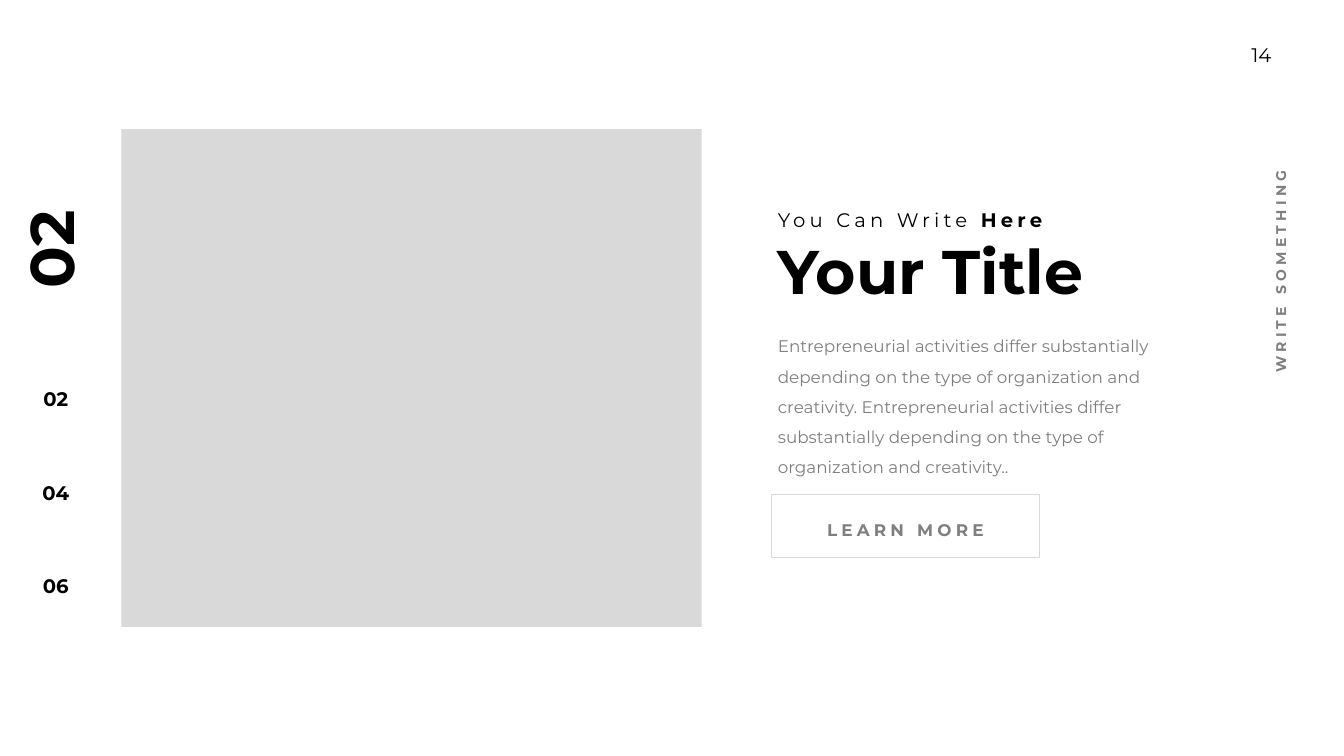
"""Build a slide with a grey photo panel, a title block and side labels."""
from pptx import Presentation
from pptx.dml.color import RGBColor
from pptx.enum.shapes import MSO_SHAPE
from pptx.enum.text import MSO_ANCHOR, MSO_AUTO_SIZE, PP_ALIGN
from pptx.util import Inches, Pt

RECT = MSO_SHAPE.RECTANGLE
TOP = MSO_ANCHOR.TOP
GROW = MSO_AUTO_SIZE.SHAPE_TO_FIT_TEXT
LEFT, CENTER = PP_ALIGN.LEFT, PP_ALIGN.CENTER

FONT = "Montserrat"
COLORS = {"ink": "000000", "grey": "7F7F7F", "panel": "D9D9D9", "paper": "FFFFFF"}
EDGE = 15.33
BODY = (
    "Entrepreneurial activities differ substantially depending on the type of "
    "organization and creativity. Entrepreneurial activities differ substantially "
    "depending on the type of organization and creativity.."
)
PANEL = (2.41, 2.56, 11.51, 9.88)
BUTTON = (15.3, 9.81, 5.31, 1.24)
TITLE = ("Your Title", (EDGE, 4.58, 7.17, 1.58), {"size": 88, "bold": True})
TEXTS = {
    "page": ("14", (24.46, 0.76, 1.12, 0.67), {"size": 28, "align": CENTER, "pad": (0.2, 0.1)}),
    "side": ("WRITE SOMETHING", (22.02, 3.89, 6.77, 0.44),
             {"size": 20, "color": "grey", "bold": True, "track": 6, "turn": 270}),
    "lead": ([("You Can Write ", False), ("Here", True)], (EDGE, 4.08, 6.77, 0.57),
             {"size": 28, "track": 6}),
    "body": (BODY, (EDGE, 6.42, 7.72, 3.13), {"size": 24, "color": "grey", "lead": 1.5}),
    "label": ("LEARN MORE", (15.68, 10.06, 4.56, 0.71),
              {"size": 24, "color": "grey", "bold": True, "track": 6,
               "align": CENTER, "lead": 1.5}),
    "chapter": ("02", (-0.98, 4.16, 3.97, 1.58),
                {"size": 88, "bold": True, "align": CENTER, "turn": 270}),
}
STEPS = ["02", "04", "06"]
STEP_BOX = (0.18, 7.63, 1.85, 4.34)
STEP_GAP = 100


def rgb(name):
    return RGBColor.from_string(COLORS[name])


def place(shape, box):
    shape.left, shape.top, shape.width, shape.height = map(Inches, box)


def write(para, text, size, color="ink", bold=False, track=0, align=LEFT, lead=None):
    para.alignment, para.line_spacing = align, lead
    font = para.font
    font.name, font.size, font.bold = FONT, Pt(size), bold
    font.color.rgb = rgb(color)
    parts = [(text, None)] if isinstance(text, str) else text
    for part, heavy in parts:
        run = para.add_run()
        run.text = part
        if heavy is not None:
            run.font.bold = heavy
        if track:
            run._r.get_or_add_rPr().set("spc", str(track * 100))


def fit(shape, pad=(0.1, 0.05)):
    frame = shape.text_frame
    frame.word_wrap, frame.auto_size, frame.vertical_anchor = True, GROW, TOP
    frame.margin_left = frame.margin_right = Inches(pad[0])
    frame.margin_top = frame.margin_bottom = Inches(pad[1])
    return frame


def add_text(slide, text, box, turn=0, pad=(0.1, 0.05), **style):
    shape = slide.shapes.add_textbox(*map(Inches, box))
    shape.rotation = turn
    write(fit(shape, pad).paragraphs[0], text, **style)
    return shape


def add_rect(slide, box, fill, line=None):
    shape = slide.shapes.add_shape(RECT, *map(Inches, box))
    shape.shadow.inherit = False
    shape.fill.solid()
    shape.fill.fore_color.rgb = rgb(fill)
    if line:
        shape.line.color.rgb = rgb(line)
        shape.line.width = Pt(1)
    else:
        shape.line.fill.background()
    return shape


def add_steps(slide):
    shape = slide.shapes.add_textbox(*map(Inches, STEP_BOX))
    frame = fit(shape)
    for i, step in enumerate(STEPS):
        para = frame.add_paragraph() if i else frame.paragraphs[0]
        para.space_before = Pt(STEP_GAP if i else 0)
        write(para, step, 28, bold=True, align=CENTER)
    return shape


def main():
    deck = Presentation()
    deck.slide_width, deck.slide_height = Inches(26.66), Inches(15)
    slide = deck.slides.add_slide(deck.slide_layouts[5])
    text, box, style = TITLE
    title = slide.shapes.title
    place(title, box)
    write(fit(title).paragraphs[0], text, **style)
    add_rect(slide, PANEL, "panel")
    button = add_rect(slide, BUTTON, "paper", "panel")
    made = {key: add_text(slide, text, box, **style)
            for key, (text, box, style) in TEXTS.items()}
    slide.shapes.add_group_shape([button, made["label"]])
    slide.shapes.add_group_shape([made["chapter"], add_steps(slide)])
    deck.save("out.pptx")


if __name__ == "__main__":
    main()
